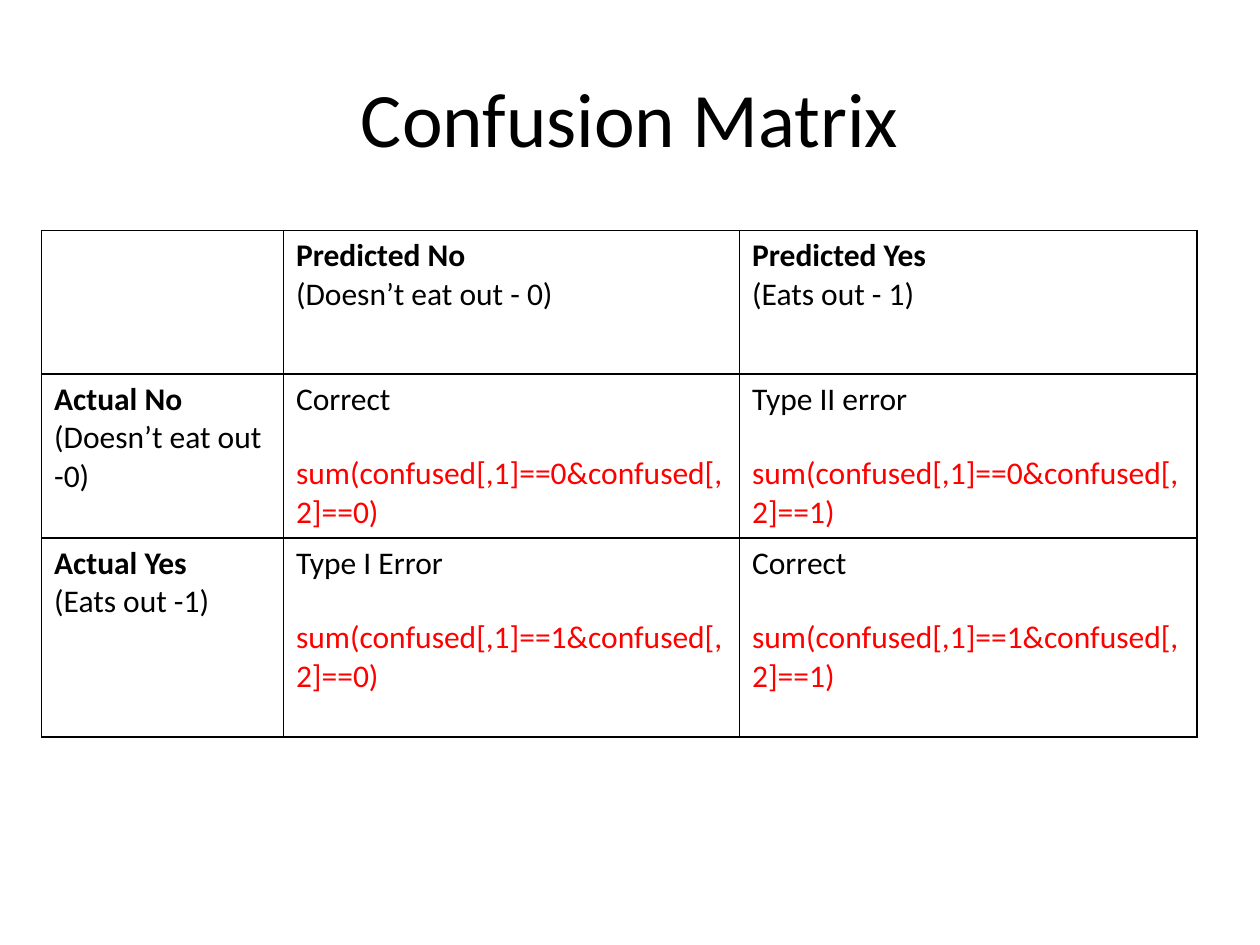
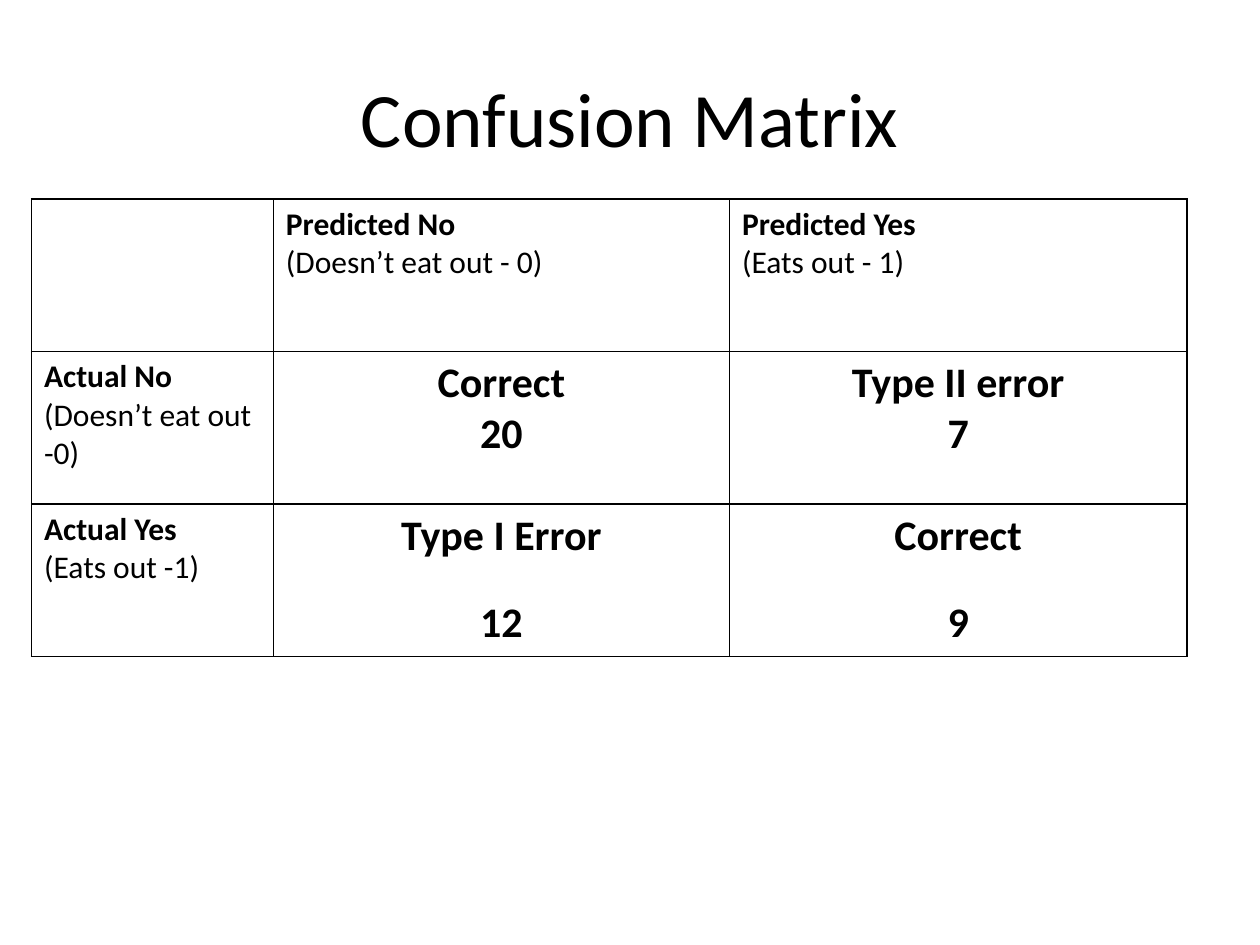
from pptx import Presentation
from pptx.dml.color import RGBColor
from pptx.enum.text import MSO_ANCHOR, PP_ALIGN
from pptx.oxml import parse_xml
from pptx.oxml.ns import nsdecls
from pptx.util import Inches, Pt

BLACK = RGBColor(0x00, 0x00, 0x00)
RED = RGBColor(0xFF, 0x00, 0x00)
FONT = "Calibri"
COLS = [1.92, 3.62, 3.63]
GAP = 20.5  # points between an outcome and the line set apart from it

# Headings shared by both matrices: bold name, plain meaning
PREDICTED = [("Predicted No", "(Doesn’t eat out - 0)"), ("Predicted Yes", "(Eats out - 1)")]
ACTUAL = [("Actual No", "(Doesn’t eat out -0)"), ("Actual Yes", "(Eats out -1)")]
OUTCOMES = [["Correct", "Type II error"], ["Type I Error", "Correct"]]

# Second line of each outcome cell
FORMULAS = [[f"sum(confused[,1]=={a}&confused[,2]=={p})" for p in (0, 1)] for a in (0, 1)]
COUNTS = [["20", "7"], ["12", "9"]]

SLIDES = [
    dict(left=0.33, top=1.83, rows=[1.14, 1.29, 1.58], values=FORMULAS, gaps=[GAP, GAP],
         size=18, bold=False, color=RED, align=PP_ALIGN.LEFT),
    dict(left=0.25, top=1.58, rows=[1.21] * 3, values=COUNTS, gaps=[0, GAP],
         size=24, bold=True, color=BLACK, align=PP_ALIGN.CENTER),
]


def style(p, size, bold=False, color=BLACK, align=PP_ALIGN.LEFT):
    p.alignment = align
    p.font.name, p.font.size, p.font.bold = FONT, Pt(size), bold
    p.font.color.rgb = color


def fill_cell(cell, first, second):
    cell.text = f"{first}\n{second}"
    return cell.text_frame.paragraphs


prs = Presentation()
prs.slide_width, prs.slide_height = Inches(10), Inches(7.5)

for spec_row in SLIDES:
    s = prs.slides.add_slide(prs.slide_layouts[5])

    # Title
    title = s.shapes.title
    title.left, title.top = int(prs.slide_width * 0.05), int(prs.slide_height * 0.04)
    title.width, title.height = int(prs.slide_width * 0.9), Inches(1.25)
    tf = title.text_frame
    tf.text = "Confusion Matrix"
    tf.vertical_anchor = MSO_ANCHOR.MIDDLE
    style(tf.paragraphs[0], 44, align=PP_ALIGN.CENTER)

    # Matrix grid
    rows = spec_row["rows"]
    table = s.shapes.add_table(
        len(rows), len(COLS), Inches(spec_row["left"]), Inches(spec_row["top"]),
        Inches(sum(COLS)), Inches(sum(rows))).table
    table.first_row = table.horz_banding = False
    for col, width in zip(table.columns, COLS):
        col.width = Inches(width)
    for row, height in zip(table.rows, rows):
        row.height = Inches(height)

    # Thin black borders, no fill
    for cell in table.iter_cells():
        tc_pr = cell._tc.get_or_add_tcPr()
        for side in ("lnL", "lnR", "lnT", "lnB"):
            tc_pr.append(parse_xml(
                f'<a:{side} {nsdecls("a")} w="{Pt(0.96)}"><a:solidFill>'
                f'<a:srgbClr val="{BLACK}"/></a:solidFill></a:{side}>'))
        cell.fill.background()

    # Row and column headings
    for i in range(2):
        for cell, heading in ((table.cell(0, i + 1), PREDICTED[i]),
                              (table.cell(i + 1, 0), ACTUAL[i])):
            name, meaning = fill_cell(cell, *heading)
            style(name, 18, bold=True)
            style(meaning, 18)

    # Outcomes
    size, bold, align = spec_row["size"], spec_row["bold"], spec_row["align"]
    for i in range(2):
        for j in range(2):
            outcome, value = fill_cell(table.cell(i + 1, j + 1),
                                       OUTCOMES[i][j], spec_row["values"][i][j])
            style(outcome, size, bold, align=align)
            style(value, size, bold, spec_row["color"], align)
            value.space_before = Pt(spec_row["gaps"][i])

prs.save("out.pptx")
